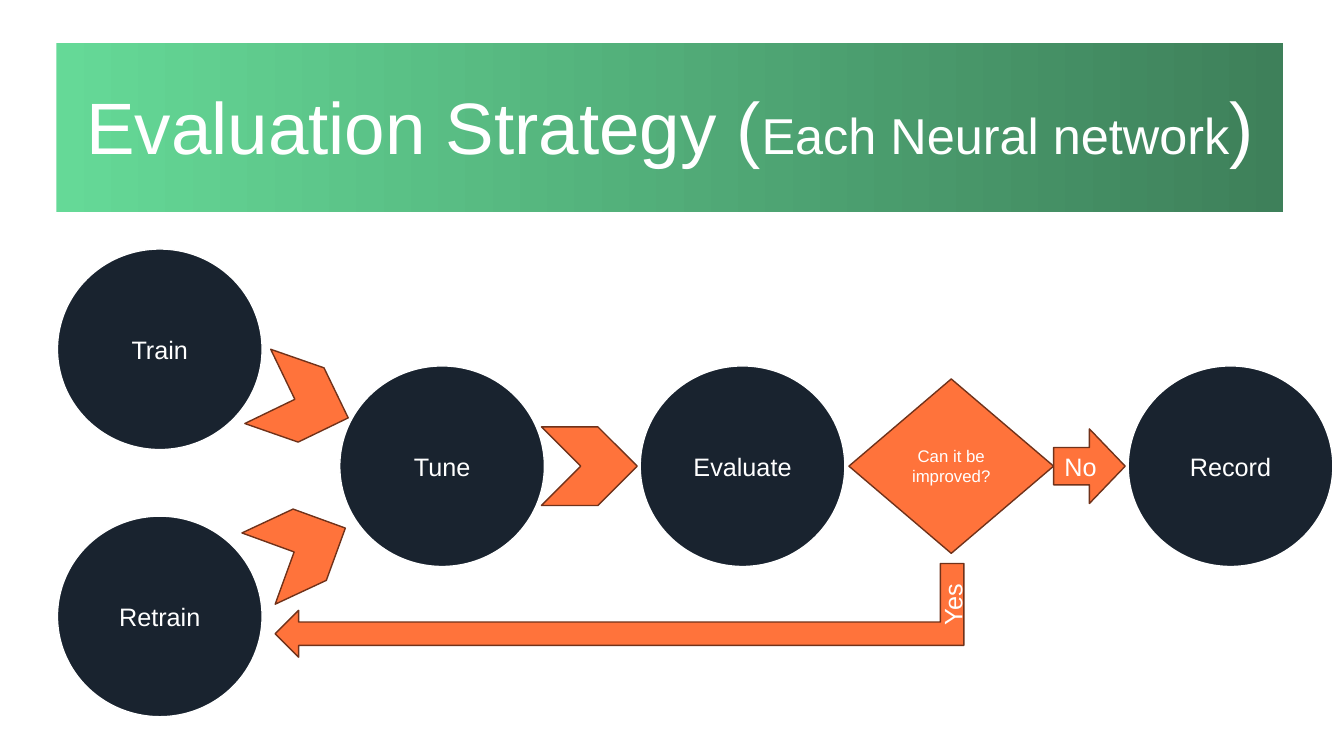
from pptx import Presentation
from pptx import util as u
from pptx.dml.color import RGBColor
from pptx.enum import shapes, text

WIDTH, HEIGHT = 13.33, 7.5
CELL = 0.1  # inches per grid cell of the flow chart
NAVY, ORANGE, BROWN, WHITE = "19232F", "FF733B", "70321A", "FFFFFF"
BAND_COLOURS = "65D997", "3E805A"

KINDS = shapes.MSO_SHAPE
# kind: preset, width and height in cells, fill, line, text size
STYLES = {
    "step": (KINDS.FLOWCHART_CONNECTOR, 20.3, 19.9, NAVY, WHITE, 18),
    "chevron": (KINDS.CHEVRON, 9.5, 7.8, ORANGE, BROWN, 18),
    "decision": (KINDS.DIAMOND, 20.3, 17.3, ORANGE, BROWN, 12),
    "loop": (KINDS.BENT_UP_ARROW, 9.3, 68.3, ORANGE, BROWN, 18),
    "exit": (KINDS.RIGHT_ARROW, 7.1, 7.4, ORANGE, BROWN, 18),
}
START_ROW, MAIN_ROW, RETRAIN_ROW = 9.95, 21.55, 36.45
# kind, centre column, centre row, label, rotation
FLOW = [
    ("step", 10.15, START_ROW, "Train", 0),
    ("step", 38.15, MAIN_ROW, "Tune", 0),
    ("step", 67.95, MAIN_ROW, "Evaluate", 0),
    ("step", 10.15, RETRAIN_ROW, "Retrain", 0),
    ("chevron", 24.35, 15.2, "", 19.2),
    ("chevron", 24.25, 29.7, "", 335),
    ("chevron", 52.75, MAIN_ROW, "", 0),
    ("decision", 88.65, MAIN_ROW, "Can it be improved?", 0),
    ("loop", 55.75, 35.85, "Yes", 90),
    ("step", 116.35, MAIN_ROW, "Record", 0),
    ("exit", 102.35, MAIN_ROW, "No", 0),
]


def colour(value):
    return RGBColor.from_string(value)


def apply(target, values):
    for name, value in values.items():
        setattr(target, name, value)


def add_run(paragraph, words, size):
    run = paragraph.add_run()
    run.text = words
    apply(run.font, {"name": "Arial", "size": u.Pt(size)})
    run.font.color.rgb = colour(WHITE)


def add_title_band(slide, left, top, width, height):
    band = slide.shapes.add_shape(
        KINDS.RECTANGLE, *map(u.Inches, (left, top, width, height)))
    band.shadow.inherit = False
    band.line.fill.background()
    band.fill.gradient()
    band.fill.gradient_angle = 0
    for stop, value in zip(band.fill.gradient_stops, BAND_COLOURS):
        stop.color.rgb = colour(value)

    title = slide.shapes.title
    title_height = 0.64
    apply(title, {
        "left": u.Inches(left), "width": u.Inches(width),
        "top": u.Inches(top + (height - title_height) / 2 + 0.03),
        "height": u.Inches(title_height),
    })
    apply(title.text_frame, {
        "word_wrap": True, "auto_size": text.MSO_AUTO_SIZE.NONE,
        "vertical_anchor": text.MSO_ANCHOR.MIDDLE,
    })
    paragraph = title.text_frame.paragraphs[0]
    apply(paragraph, {"alignment": text.PP_ALIGN.CENTER, "line_spacing": 0.9})
    for words, size in (("Evaluation Strategy (", 52),
                        ("Each Neural network", 36), (")", 52)):
        add_run(paragraph, words, size)
    band.element.addnext(title.element)


def add_flow_chart(slide, left, top):
    for kind, column, row, label, rotation in FLOW:
        preset, columns, rows, fill, line, size = STYLES[kind]
        shape = slide.shapes.add_shape(
            preset,
            u.Inches(left + (column - columns / 2) * CELL),
            u.Inches(top + (row - rows / 2) * CELL),
            u.Inches(columns * CELL), u.Inches(rows * CELL))
        shape.rotation = rotation
        shape.shadow.inherit = False
        shape.fill.solid()
        shape.fill.fore_color.rgb = colour(fill)
        shape.line.color.rgb = colour(line)
        shape.line.width = u.Pt(1)
        if kind == "loop":
            shape.element.spPr.xfrm.set("flipV", "1")
        if label:
            apply(shape.text_frame, {
                "word_wrap": True,
                "vertical_anchor": text.MSO_ANCHOR.MIDDLE,
            })
            paragraph = shape.text_frame.paragraphs[0]
            paragraph.alignment = text.PP_ALIGN.CENTER
            add_run(paragraph, label, size)


def main():
    presentation = Presentation()
    apply(presentation, {"slide_width": u.Inches(WIDTH),
                         "slide_height": u.Inches(HEIGHT)})
    slide = presentation.slides.add_slide(presentation.slide_layouts[0])
    subtitle = slide.placeholders[1].element
    subtitle.getparent().remove(subtitle)
    add_title_band(slide, 0.56, 0.43, 12.17, 1.67)
    add_flow_chart(slide, 0.57, 2.47)
    presentation.save("out.pptx")


if __name__ == "__main__":
    main()
